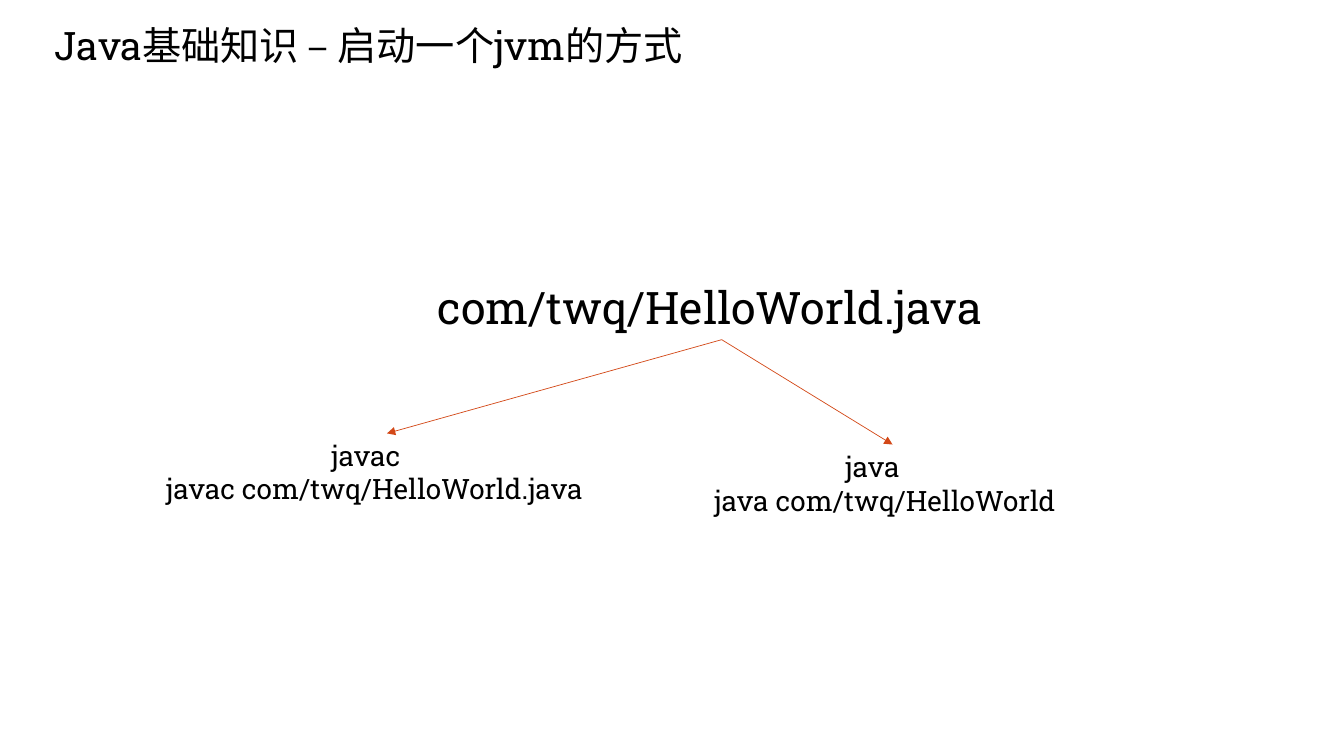
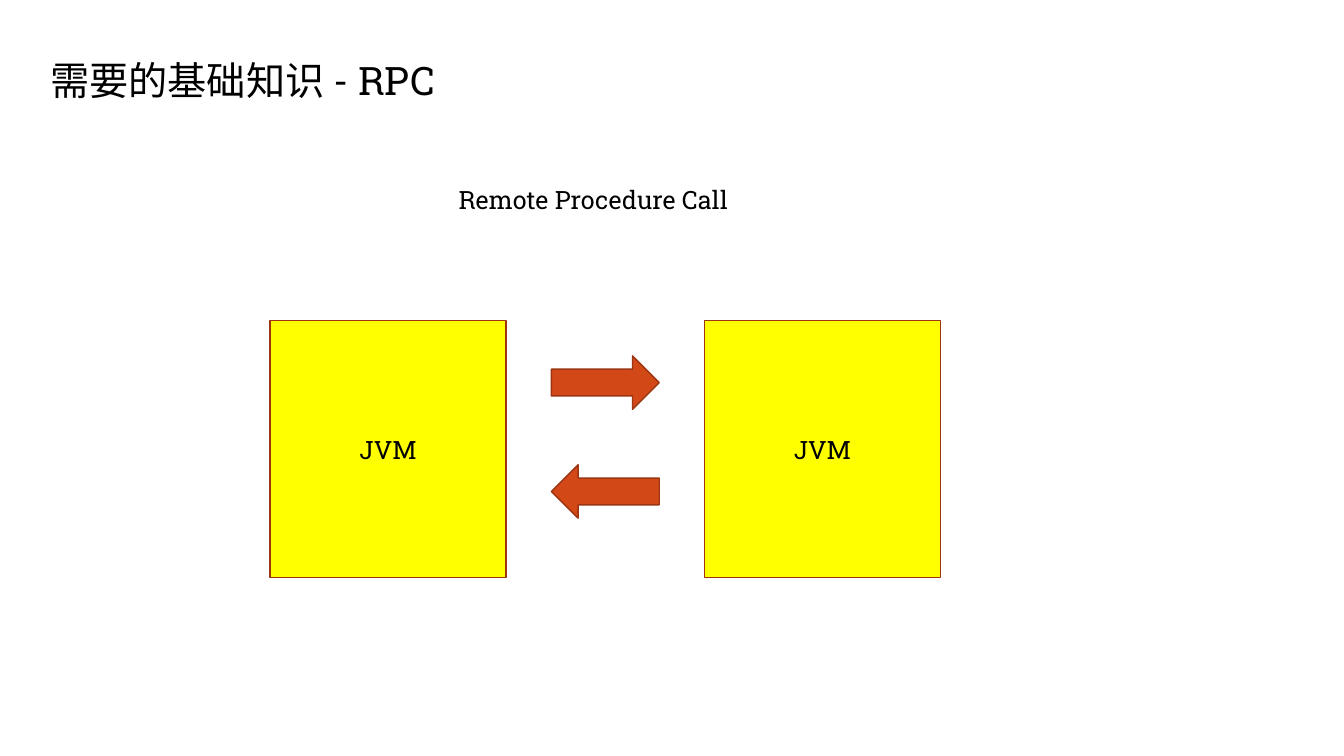
from lxml.etree import SubElement
from pptx import Presentation
from pptx.dml.color import RGBColor
from pptx.enum.shapes import MSO_CONNECTOR, MSO_SHAPE
from pptx.enum.text import MSO_ANCHOR, MSO_AUTO_SIZE, PP_ALIGN
from pptx.oxml.ns import qn
from pptx.util import Inches, Pt

WIDTH, HEIGHT = Inches(13.333), Inches(7.5)
FONT = "Roboto Slab"
BLACK, YELLOW, ORANGE, RUST = "000000", "FFFF00", "D34817", "9C3511"
TOP, BOTTOM = 0, 2


def color(hex_code):
    """Turn a hex string into a colour."""
    return RGBColor.from_string(hex_code)


def across(percent):
    """Return a share of the slide's width."""
    return round(WIDTH * percent / 100)


def down(percent):
    """Return a share of the slide's height."""
    return round(HEIGHT * percent / 100)


def area(left, top, width, height):
    """Turn shares of the slide into a position and a size."""
    return across(left), down(top), across(width), down(height)


def write(frame, lines, size, align=PP_ALIGN.LEFT, anchor=MSO_ANCHOR.TOP):
    """Fill a text frame with one paragraph per line."""
    frame.word_wrap = True
    frame.auto_size = MSO_AUTO_SIZE.NONE
    frame.vertical_anchor = anchor
    for number, line in enumerate(lines):
        paragraph = frame.add_paragraph() if number else frame.paragraphs[0]
        paragraph.alignment = align
        run = paragraph.add_run()
        run.text = line
        run.font.name = FONT
        run.font.size = Pt(size)
        run.font.color.rgb = color(BLACK)


def add_titled_slide(deck, heading, place):
    """Add a slide with its title moved to the given place."""
    slide = deck.slides.add_slide(deck.slide_layouts[5])
    title = slide.shapes.title
    title.left, title.top, title.width, title.height = area(*place)
    write(title.text_frame, [heading], 28)
    return slide


def add_label(slide, lines, place, size, first_indent=0):
    """Add a text box whose first line may be indented."""
    label = slide.shapes.add_textbox(*area(*place))
    write(label.text_frame, lines, size)
    if first_indent:
        properties = label.text_frame.paragraphs[0]._p.get_or_add_pPr()
        properties.set("marL", "0")
        properties.set("indent", str(across(first_indent)))
    return label


def add_block(slide, preset, place, fill):
    """Add a filled preset shape with a thin rust outline."""
    block = slide.shapes.add_shape(preset, *area(*place))
    block.shadow.inherit = False
    block.fill.solid()
    block.fill.fore_color.rgb = color(fill)
    block.line.color.rgb = color(RUST)
    block.line.width = Pt(1)
    return block


def add_branch(slide, origin, target):
    """Draw an arrow from the bottom of one label to the top of another."""
    branch = slide.shapes.add_connector(MSO_CONNECTOR.STRAIGHT, 0, 0, 0, 0)
    branch.begin_connect(origin, BOTTOM)
    branch.end_connect(target, TOP)
    branch.line.color.rgb = color(ORANGE)
    branch.line.width = Pt(0.5)
    SubElement(branch.line._get_or_add_ln(), qn("a:tailEnd"), type="triangle")
    SubElement(branch._element.spPr, qn("a:effectLst"))


def build_launch_slide(deck):
    """Show the two commands that start a JVM."""
    slide = add_titled_slide(deck, "Java基础知识 – 启动一个jvm的方式", (3.3, 2.13, 49.05, 7.6))
    source_file = add_label(slide, ["com/twq/HelloWorld.java"], (31.8, 36.4, 43.8, 8.53), 32)
    commands = [
        (["javac", "javac com/twq/HelloWorld.java"], (11.62, 57.33, 34.35, 10.27), 12.3),
        (["java", "java com/twq/HelloWorld"], (52.42, 58.8, 27.98, 10.27), 9.75),
    ]
    for lines, place, indent in commands:
        command = add_label(slide, lines, place, 20, indent)
        add_branch(slide, source_file, command)


def build_rpc_slide(deck):
    """Show two JVMs calling each other."""
    slide = add_titled_slide(deck, "需要的基础知识 - RPC", (3, 6.8, 30.3, 7.6))
    caller_left, callee_left, jvm_width = 20.1, 52.42, 17.55
    for left in (caller_left, callee_left):
        jvm = add_block(slide, MSO_SHAPE.RECTANGLE, (left, 42.4, jvm_width, 34), YELLOW)
        write(jvm.text_frame, ["JVM"], 18, PP_ALIGN.CENTER, MSO_ANCHOR.MIDDLE)
    call_width = 8.03
    call_left = (caller_left + jvm_width + callee_left - call_width) / 2
    for top, rotation in ((47.07, 0), (61.47, 180)):
        call = add_block(slide, MSO_SHAPE.RIGHT_ARROW, (call_left, top, call_width, 7.07), ORANGE)
        call.rotation = rotation
    add_label(slide, ["Remote Procedure Call"], (33.38, 23.73, 21.6, 5.33), 18)


def main():
    """Build and save the presentation."""
    deck = Presentation()
    deck.slide_width, deck.slide_height = WIDTH, HEIGHT
    build_launch_slide(deck)
    build_rpc_slide(deck)
    deck.save("out.pptx")


if __name__ == "__main__":
    main()
